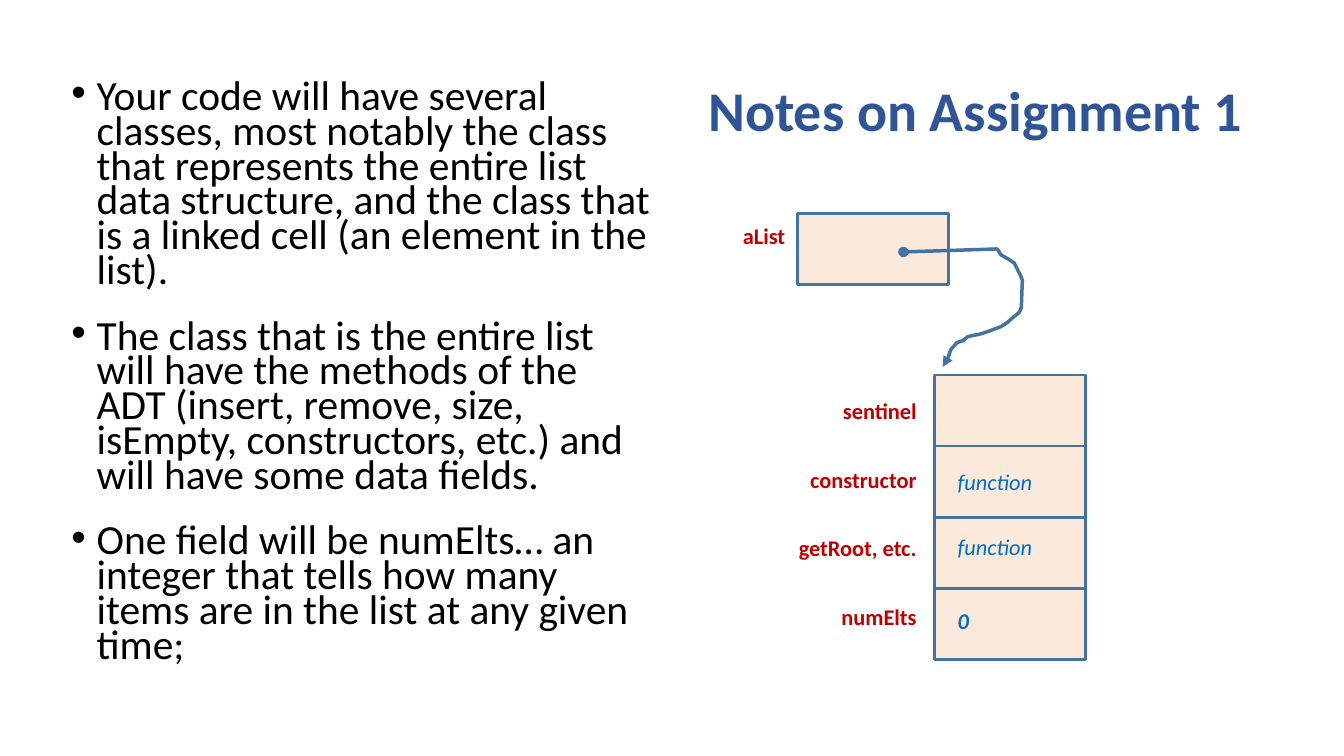
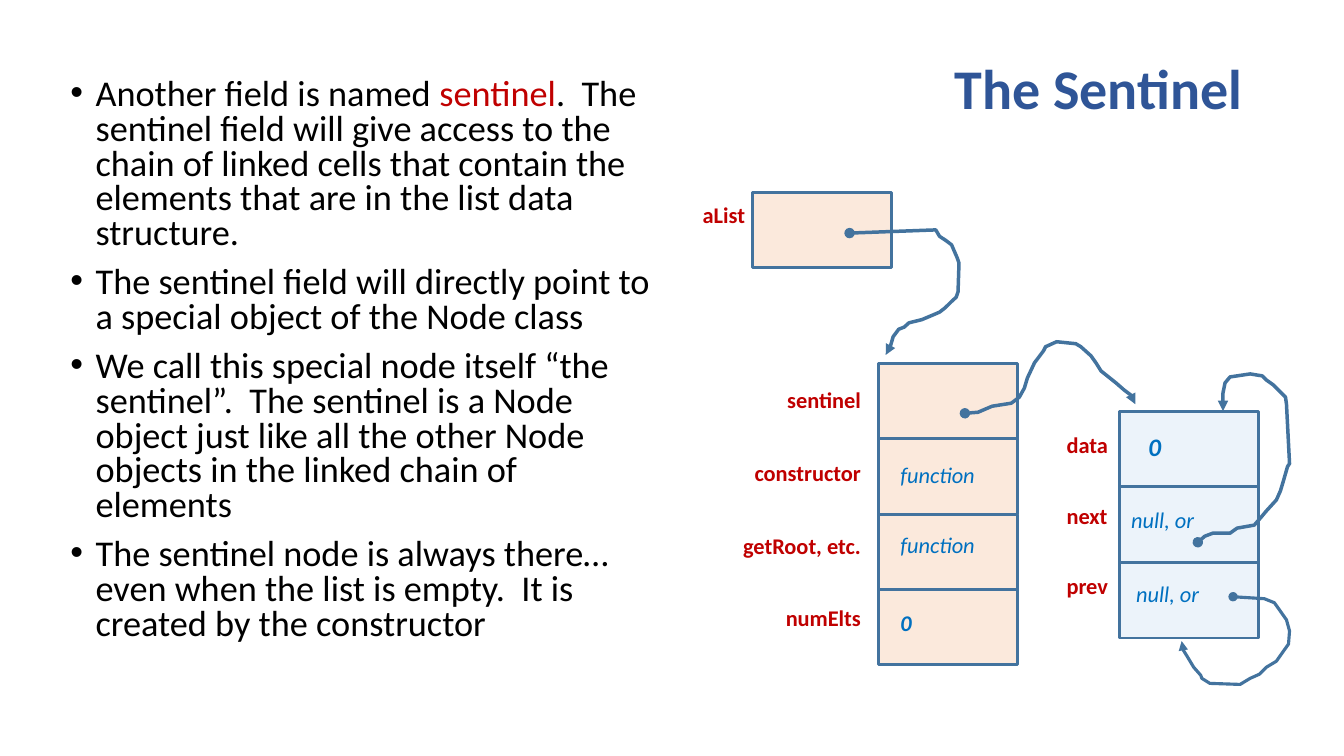
from lxml import etree
from pptx import Presentation
from pptx.dml.color import RGBColor
from pptx.enum import shapes, text
from pptx.oxml import ns
from pptx.util import Inches, Pt

BLACK = RGBColor(0x00, 0x00, 0x00)
NAVY = RGBColor(0x2F, 0x55, 0x97)
RED = RGBColor(0xC0, 0x00, 0x00)
BLUE = RGBColor(0x00, 0x70, 0xC0)
STEEL = RGBColor(0x43, 0x73, 0x9E)
ORANGE = RGBColor(0xF4, 0xB1, 0x83)
PALE_BLUE = RGBColor(0xBD, 0xD7, 0xEE)

FONT = "Calibri"
RIGHT = text.PP_ALIGN.RIGHT
CELL_W, CELL_H = 1.5, 2.82 / 4
LIST_X, LIST_Y = 7.91, 2.12

LIST_FIELDS = ["sentinel", "constructor", "getRoot, etc.", "numElts"]
LIST_VALUES = [("function", 4.59, False), ("function", 5.24, False), ("0", 5.97, True)]
LIST_ARROW = [
    (8.96, 2.5), (9.89, 2.47), (9.93, 2.53), (10, 2.57), (10.06, 2.61), (10.12, 2.73),
    (10.14, 2.78), (10.13, 3.05), (10.11, 3.1), (10.06, 3.14), (9.99, 3.2), (9.93, 3.24),
    (9.85, 3.27), (9.74, 3.31), (9.6, 3.34), (9.55, 3.38), (9.49, 3.4), (9.43, 3.47),
    (9.4, 3.56), (9.35, 3.64)]

NODE_FIELDS = ["data", "next", "prev"]
SENTINEL_ARROW = [
    (9.57, 4.1), (9.7, 4.09), (9.84, 4.03), (10.03, 4), (10.11, 3.94), (10.16, 3.85),
    (10.19, 3.75), (10.26, 3.6), (10.35, 3.48), (10.37, 3.44), (10.48, 3.39), (10.67, 3.41),
    (10.72, 3.44), (10.82, 3.53), (10.87, 3.6), (10.92, 3.68), (11.07, 3.8), (11.15, 3.87),
    (11.23, 3.93), (11.26, 4.01)]
NEXT_ARROW = [
    (11.88, 5.38), (11.95, 5.32), (12.03, 5.29), (12.2, 5.29), (12.27, 5.24), (12.44, 5.21),
    (12.51, 5.13), (12.56, 5.07), (12.66, 4.96), (12.7, 4.87), (12.73, 4.77), (12.77, 4.63),
    (12.79, 4.6), (12.76, 4.01), (12.75, 3.94), (12.7, 3.89), (12.63, 3.82), (12.56, 3.77),
    (12.52, 3.73), (12.4, 3.71), (12.2, 3.74), (12.15, 3.8), (12.13, 3.9), (12.13, 4.08)]
PREV_ARROW = [
    (12.23, 5.92), (12.54, 5.94), (12.64, 5.98), (12.69, 6.05), (12.76, 6.15), (12.79, 6.26),
    (12.78, 6.39), (12.73, 6.46), (12.66, 6.56), (12.56, 6.62), (12.49, 6.69), (12.4, 6.73),
    (12.3, 6.79), (12, 6.78), (11.92, 6.73), (11.91, 6.7), (11.84, 6.62), (11.78, 6.52),
    (11.73, 6.44), (11.72, 6.36)]

ASSIGNMENT_NOTES = [
    [("Your code will have several classes, most notably the class that represents the entire "
      "list data structure, and the class that is a linked cell (an element in the list).", BLACK)],
    [("The class that is the entire list will have the methods of the ADT (insert, remove, size, "
      "isEmpty, constructors, etc.) and will have some data fields.", BLACK)],
    [("One field will be numElts… an integer that tells how many items are in the list at any "
      "given time;", BLACK)],
]
SENTINEL_NOTES = [
    [("Another field is named ", BLACK), ("sentinel", RED),
     (".  The sentinel field will give access to the chain of linked cells that contain the "
      "elements that are in the list data structure.", BLACK)],
    [("The sentinel field will directly point to a special object of the Node class", BLACK)],
    [("We call this special node itself “the sentinel”.  The sentinel is a Node object just like "
      "all the other Node objects in the linked chain of elements", BLACK)],
    [("The sentinel node is always there… even when the list is empty.  It is created by the "
      "constructor", BLACK)],
]


def add_xml(parent, tag, **attrs):
    return etree.SubElement(parent, ns.qn(tag), attrs)


class Deck:
    def __init__(self):
        self.prs = Presentation()
        self.prs.slide_width, self.prs.slide_height = Inches(13.33), Inches(7.5)
        self.s = None

    def new_slide(self, title, title_h):
        self.s = self.prs.slides.add_slide(self.prs.slide_layouts[6])
        tf = self.text_box(0.92, 0.4, 11.5, title_h)
        tf.vertical_anchor = text.MSO_ANCHOR.MIDDLE
        p = tf.paragraphs[0]
        p.alignment, p.line_spacing = RIGHT, 0.9
        self.run(p, title, 40, NAVY, bold=True)

    def text_box(self, x, y, w, h):
        tf = self.s.shapes.add_textbox(Inches(x), Inches(y), Inches(w), Inches(h)).text_frame
        tf.word_wrap = True
        return tf

    def run(self, p, words, size, color, bold=False, italic=False):
        r = p.add_run()
        r.text = words
        f = r.font
        f.name, f.size, f.bold, f.italic = FONT, Pt(size), bold, italic
        f.color.rgb = color

    def bullets(self, x, y, w, h, items, size, spacing, after=0):
        tf = self.text_box(x, y, w, h)
        for i, runs in enumerate(items):
            p = tf.add_paragraph() if i else tf.paragraphs[0]
            p.line_spacing, p.space_before, p.space_after = spacing, Pt(10), Pt(after)
            pPr = p._p.get_or_add_pPr()
            pPr.set("marL", str(Inches(0.25)))
            pPr.set("indent", str(-Inches(0.25)))
            add_xml(pPr, "a:buFont", typeface="Arial")
            add_xml(pPr, "a:buChar", char="•")
            for words, color in runs:
                self.run(p, words, size, color)

    def label(self, x, y, w, words, align=None):
        p = self.text_box(x, y, w, 0.51).paragraphs[0]
        p.alignment = align
        self.run(p, words, 16, RED, bold=True)

    def value(self, x, y, w, words, bold=False, size=16):
        p = self.text_box(x, y, w, 0.51).paragraphs[0]
        self.run(p, words, size, BLUE, bold=bold, italic=True)

    def cell(self, x, y, w, h, color):
        sp = self.s.shapes.add_shape(
            shapes.MSO_SHAPE.RECTANGLE, Inches(x), Inches(y), Inches(w), Inches(h))
        sp.shadow.inherit = False
        sp.fill.solid()
        sp.fill.fore_color.rgb = color
        clr = sp._element.spPr.find(ns.qn("a:solidFill"))[0]
        add_xml(clr, "a:alpha", val="28000")
        sp.line.color.rgb, sp.line.width = STEEL, Pt(2)

    def pointer(self, points, width=2.5):
        """Draw a curved reference from a dot to an arrowhead."""
        (x, y), *rest = [(Inches(a), Inches(b)) for a, b in points]
        builder = self.s.shapes.build_freeform(x, y)
        builder.add_line_segments(rest, close=False)
        sp = builder.convert_to_shape()
        sp.shadow.inherit = False
        sp.fill.background()
        sp.line.color.rgb, sp.line.width = STEEL, Pt(width)
        ln = sp.line._get_or_add_ln()
        add_xml(ln, "a:round")
        add_xml(ln, "a:headEnd", type="oval")
        add_xml(ln, "a:tailEnd", type="triangle")

    def list_object(self, left=LIST_X, top=LIST_Y, sx=1, sy=1):
        """Draw aList and its fields, scaled about the corner of the aList box."""
        def at(x, y):
            return left + (x - LIST_X) * sx, top + (y - LIST_Y) * sy

        w, h = CELL_W * sx, CELL_H * sy
        self.label(*at(7.27, 2.15), 0.72, "aList")
        self.cell(left, top, w, h, ORANGE)
        for i, field in enumerate(LIST_FIELDS):
            self.cell(*at(9.27, 3.72 + i * CELL_H), w, h, ORANGE)
            self.label(*at(7.53, 3.89 + i * 0.68), 1.66 * sx, field, RIGHT)
        for words, y, bold in LIST_VALUES:
            self.value(*at(9.4, y), 1.13 * sx, words, bold)
        self.pointer([at(x, y) for x, y in LIST_ARROW])

    def node_object(self):
        for i, field in enumerate(NODE_FIELDS):
            self.cell(11.1, 4.08 + i * 0.75, 1.38, 0.75, PALE_BLUE)
            self.label(10.48, 4.23 + i * 0.7, 1.24, field)
        self.value(11.29, 4.23, 0.79, "0", bold=True, size=18)
        self.value(11.12, 4.97, 0.88, "null, or")
        self.value(11.17, 5.71, 0.88, "null, or")
        self.pointer(SENTINEL_ARROW)
        self.pointer(NEXT_ARROW)
        self.pointer(PREV_ARROW, 2.25)


def main():
    deck = Deck()

    deck.new_slide("Notes on Assignment 1", 1.45)
    deck.bullets(0.61, 0.77, 5.99, 5.96, ASSIGNMENT_NOTES, 29.6, 0.7, after=12)
    deck.list_object()

    deck.new_slide("The Sentinel", 1.02)
    deck.bullets(0.6, 0.73, 6.06, 6.35, SENTINEL_NOTES, 25.9, 0.8)
    deck.list_object(7.46, 1.91, 0.92, 1.06)
    deck.node_object()

    deck.prs.save("out.pptx")


if __name__ == "__main__":
    main()
